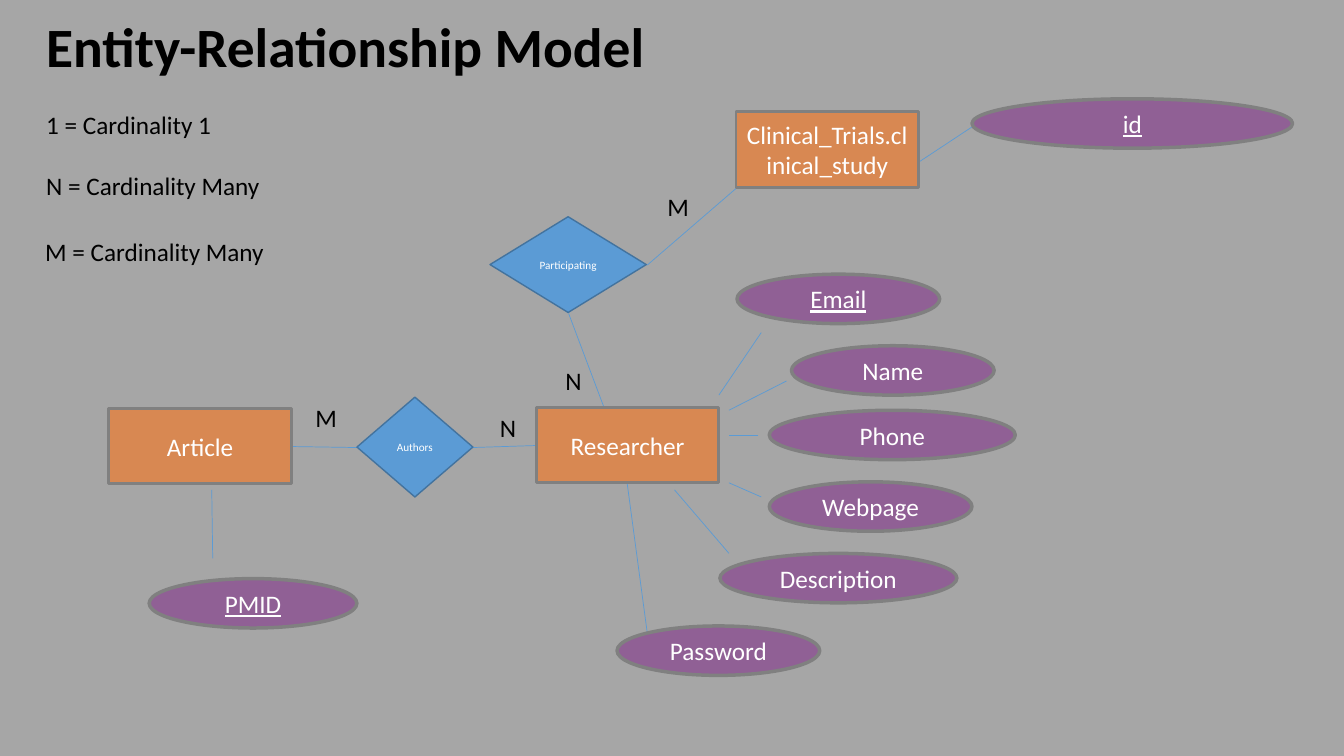
from lxml import etree
from pptx import Presentation
from pptx.dml.color import RGBColor
from pptx.enum import shapes, text
from pptx.oxml.ns import qn
from pptx.util import Inches, Pt

BLACK = RGBColor(0x00, 0x00, 0x00)
WHITE = RGBColor(0xFF, 0xFF, 0xFF)
GREY = RGBColor(0xA6, 0xA6, 0xA6)
EDGE = RGBColor(0x80, 0x80, 0x80)
ORANGE = RGBColor(0xED, 0x7D, 0x31)
PURPLE = RGBColor(0x73, 0x05, 0x7F)
BLUE = RGBColor(0x5B, 0x9B, 0xD5)
NAVY = RGBColor(0x43, 0x73, 0x9E)
FORM = shapes.MSO_SHAPE


class Model:
    """Style and slide of an entity-relationship diagram."""

    font = "Calibri"
    size = 18

    def __init__(self, slide):
        """Keep the slide and paint its background."""
        self.slide = slide
        slide.background.fill.solid()
        slide.background.fill.fore_color.rgb = GREY

    def add_run(self, para, words, color, size=None, bold=False, line=False):
        """Add one run of text to a paragraph."""
        run = para.add_run()
        run.text = words
        font = run.font
        font.name, font.size = self.font, Pt(size or self.size)
        font.color.rgb, font.bold = color, bold
        font.underline = line or None

    def label(self, words, left, top, width, height=0.4, **style):
        """Place a text box and return its frame."""
        box = self.slide.shapes.add_textbox(
            Inches(left), Inches(top), Inches(width), Inches(height))
        frame = box.text_frame
        frame.word_wrap = True
        self.add_run(frame.paragraphs[0], words, BLACK, **style)
        return frame

    def title(self, words, left, top, width, height):
        """Place the bold heading."""
        frame = self.label(words, left, top, width, height, size=39.6, bold=True)
        frame.vertical_anchor = text.MSO_ANCHOR.MIDDLE
        frame.paragraphs[0].line_spacing = 0.9

    def node(self, form, words, area, fill, edge, weight, alpha=100, **style):
        """Draw a filled shape with centred text."""
        shape = self.slide.shapes.add_shape(form, *map(Inches, area))
        shape.shadow.inherit = False
        shape.fill.solid()
        shape.fill.fore_color.rgb = fill
        if alpha < 100:
            color = shape._element.spPr.find(qn("a:solidFill"))[0]
            etree.SubElement(color, qn("a:alpha")).set("val", str(alpha * 1000))
        shape.line.color.rgb = edge
        shape.line.width = Pt(weight)
        frame = shape.text_frame
        frame.word_wrap = True
        frame.vertical_anchor = text.MSO_ANCHOR.MIDDLE
        para = frame.paragraphs[0]
        para.alignment = text.PP_ALIGN.CENTER
        self.add_run(para, words, WHITE, **style)

    def table(self, words, left, top):
        """Draw an entity box."""
        self.node(FORM.RECTANGLE, words, (left, top, 1.81, 0.75),
                  ORANGE, EDGE, 2, 71)

    def field(self, words, left, top, width=2.01, key=False):
        """Draw an attribute oval; a key is underlined."""
        self.node(FORM.OVAL, words, (left, top, width, 0.49),
                  PURPLE, EDGE, 2.5, 43, line=key)

    def bond(self, words, *area):
        """Draw a relationship diamond."""
        self.node(FORM.DIAMOND, words, area, BLUE, NAVY, 1, size=8)

    def link(self, *ends):
        """Draw a thin line between two points."""
        line = self.slide.shapes.add_connector(
            shapes.MSO_CONNECTOR.STRAIGHT, *map(Inches, ends))
        line.line.color.rgb = BLUE
        line.line.width = Pt(0.5)
        etree.SubElement(line._element.spPr, qn("a:effectLst"))


def main():
    """Build and save the slide."""
    deck = Presentation()
    deck.slide_width, deck.slide_height = Inches(13.33), Inches(7.5)
    model = Model(deck.slides.add_slide(deck.slide_layouts[6]))

    model.title("Entity-Relationship Model ", 0.36, 0.13, 8.36, 0.72)
    for words, left, top, width in (
            ("1 = Cardinality 1", 0.36, 1.04, 2.01),
            ("N = Cardinality Many", 0.36, 1.64, 2.53),
            ("M = Cardinality Many", 0.35, 2.3, 2.44)):
        model.label(words, left, top, width)

    for ends in (
            # Researcher to its fields
            (7.55, 3.3, 7.13, 3.92), (7.8, 3.78, 7.23, 4.07),
            (7.52, 4.32, 7.23, 4.32), (7.55, 4.93, 7.23, 4.79),
            (7.23, 5.49, 6.69, 4.86), (6.42, 6.28, 6.22, 4.79),
            # Article and study to their keys
            (2.11, 5.54, 2.1, 4.86), (9.64, 1.26, 9.11, 1.61),
            # Diamonds to entities
            (4.69, 4.44, 5.32, 4.42), (2.89, 4.43, 3.54, 4.44),
            (5.64, 3.11, 5.99, 4.04), (7.3, 1.87, 6.42, 2.63)):
        model.link(*ends)

    model.table("Researcher", 5.32, 4.04)
    model.table("Article", 1.08, 4.05)
    model.table("Clinical_Trials.clinical_study", 7.3, 1.11)

    model.bond("Authors", 3.54, 3.94, 1.15, 0.99)
    model.bond("Participating", 4.86, 2.15, 1.55, 0.95)

    model.field("Email", 7.31, 2.72, key=True)
    model.field("Name", 7.85, 3.43)
    model.field("Phone", 7.63, 4.07, 2.44)
    model.field("Webpage", 7.63, 4.78)
    model.field("Description", 7.14, 5.49, 2.35)
    model.field("Password", 6.12, 6.21)
    model.field("PMID", 1.48, 5.74, 2.06, key=True)
    model.field("id", 9.64, 0.98, 3.18, key=True)

    for mark, left, top in (("N", 4.86, 4.04), ("M", 3.03, 3.94),
                            ("M", 6.52, 1.85), ("N", 5.51, 3.58)):
        model.label(mark, left, top, 0.34)

    deck.save("out.pptx")


main()
